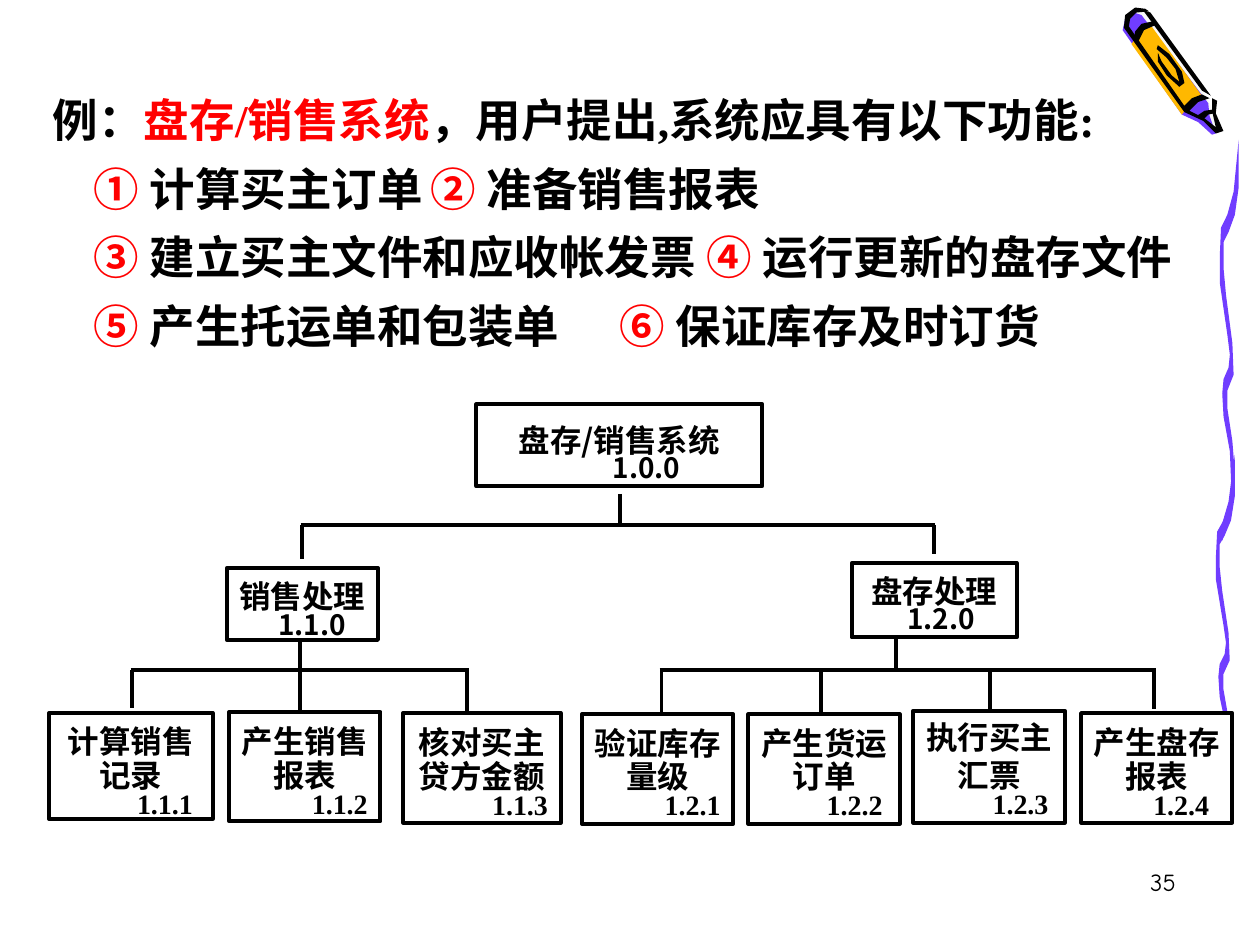
from lxml import etree
from pptx import Presentation
from pptx.dml.color import RGBColor
from pptx.enum.shapes import MSO_CONNECTOR, MSO_SHAPE
from pptx.enum.text import MSO_ANCHOR, MSO_AUTO_SIZE, PP_ALIGN
from pptx.oxml.ns import qn
from pptx.util import Pt

STRAIGHT = MSO_CONNECTOR.STRAIGHT
RECTANGLE = MSO_SHAPE.RECTANGLE
TOP = MSO_ANCHOR.TOP
NO_FIT = MSO_AUTO_SIZE.NONE
LEFT, CENTER, RIGHT = PP_ALIGN.LEFT, PP_ALIGN.CENTER, PP_ALIGN.RIGHT

COLORS = {"ink": "000000", "red": "FF0000", "paper": "FFFFFF",
          "purple": "703DFF", "yellow": "FFB800", "pale": "F8F8F8"}
SERIF, SANS, COMIC = "Times New Roman", "Noto Sans CJK SC", "Comic Neue"

WAVE_GRID = (15, 278)
WAVE = [(1, 269), (7, 251), (9, 237), (8, 216), (3, 192), (2, 176), (3, 166),
        (7, 158), (8, 149), (6, 135), (0, 99), (0, 81), (1, 61), (6, 52),
        (11, 36), (15, 0), (15, 33), (12, 52), (7, 64), (3, 71), (3, 89),
        (5, 108), (10, 141), (11, 163), (6, 174), (6, 186), (10, 209),
        (12, 231), (10, 255), (6, 267), (2, 278)]

CRAYON_GRID = (81, 101)
CRAYON = [
    ("pale", [(78, 96), (73, 82), (62, 60), (19, 3), (12, 1), (6, 6), (4, 16),
              (51, 82), (66, 89), (76, 98)]),
    ("purple", [(16, 6), (69, 76), (70, 86), (75, 100), (72, 101), (61, 91),
                (48, 85), (1, 18), (3, 9), (10, 4)]),
    ("yellow", [(8, 29), (48, 85), (56, 75), (66, 73), (24, 15), (15, 19)]),
    ("ink", [(73, 81), (66, 82), (60, 86), (66, 88), (69, 85), (74, 84)]),
    ("ink", [(19, 1), (11, 0), (3, 6), (2, 16), (50, 83), (65, 90), (75, 100),
             (81, 98), (75, 84), (76, 74), (72, 72), (72, 82), (75, 95),
             (66, 88), (54, 82), (61, 75), (70, 72), (64, 69), (56, 72),
             (50, 78), (6, 15), (7, 9), (12, 4), (22, 3)]),
    ("ink", [(23, 4), (71, 70), (64, 66), (17, 2)]),
    ("ink", [(25, 11), (16, 13), (11, 19), (10, 24), (13, 28), (18, 18),
             (27, 14)]),
    ("ink", [(28, 33), (36, 40), (43, 49), (46, 59), (40, 54), (32, 43),
             (29, 36), (29, 43), (36, 54), (46, 63), (50, 60), (48, 51),
             (38, 37), (29, 30)]),
]

HEADING = [("例：", "ink"), ("盘存/销售系统", "red"),
           ("，用户提出,系统应具有以下功能:", "ink")]
# Each row: its spans and the tab stop of its second item, if it has one
FEATURES = [
    ([("① ", "red"), ("计算买主订单\t", "ink"),
      ("②", "red"), (" 准备销售报表", "ink")], 359),
    ([("③", "red"), (" 建立买主文件和应收帐发票 ", "ink"),
      ("④", "red"), (" 运行更新的盘存文件", "ink")], None),
    ([("⑤", "red"), (" 产生托运单和包装单\t", "ink"),
      ("⑥ ", "red"), ("保证库存及时订货", "ink")], 366.5),
]

# Box in the chart, text lines, indent of the number, top inset, font, pitch
MODULES = [
    ((244.2, 0, 163.4, 46.8), ["盘存/销售系统", "1.0.0"], 31, 11.5, SANS, 19.4),
    ((101.6, 93.7, 86.4, 41), ["销售处理", "1.1.0"], 11, 7, SANS, 19.4),
    ((458.7, 90.8, 94.3, 42.5), ["盘存处理", "1.2.0"], 7.5, 7, SANS, 19.4),
    ((0, 176.5, 93.6, 60.5), ["计算销售", "记录", "1.1.1"], 39, 7.5, SERIF, 19.4),
    ((103, 175.8, 86.4, 62.6), ["产生销售", "报表", "1.1.2"], 40, 8, SERIF, 19.4),
    ((202.4, 176.5, 90, 62.6), ["核对买主", "贷方金额", "1.1.3"], 43.5, 8, SERIF, 19.4),
    ((304.6, 177.2, 86.4, 62.6), ["验证库存", "量级", "1.2.1"], 40, 7.5, SERIF, 19.4),
    ((399.7, 177.2, 86.4, 62.6), ["产生货运", "订单", "1.2.2"], 35, 7.5, SERIF, 19.4),
    ((494, 175.1, 86.4, 64.1), ["执行买主", "汇票", "1.2.3"], 36, 4, SERIF, 21.7),
    ((589.8, 176.5, 86.4, 62.6), ["产生盘存", "报表", "1.2.4"], 28, 8, SERIF, 19.4),
]
# Stem x, stem top, bar y, drops as (x, bottom)
BRANCHES = [
    (326.2, 51.2, 69.2, [(144.8, 88.7), (505.5, 85.8)]),
    (143.4, 133.3, 151.7, [(47.6, 173.6), (143.4, 183), (239.1, 175.1)]),
    (483.9, 132.6, 152, [(350, 179.4), (441.4, 178.7), (537.9, 174.4),
                         (631.5, 174.4)]),
]


def color(name):
    return RGBColor.from_string(COLORS[name])


def style(span, size, font, ink="ink", bold=True):
    span.font.size = Pt(size)
    span.font.name = font
    span.font.bold = bold
    span.font.color.rgb = color(ink)
    east_asian = etree.SubElement(span.font._element, qn("a:ea"))
    east_asian.set("typeface", SANS)


def set_frame(frame, insets):
    """Fix the frame's size; insets are left, top, right, bottom."""
    frame.word_wrap = True
    frame.auto_size = NO_FIT
    frame.vertical_anchor = TOP
    (frame.margin_left, frame.margin_top,
     frame.margin_right, frame.margin_bottom) = map(Pt, insets)


def add_outline(page, box, grid, points, ink):
    """Fill a closed outline whose grid is stretched over the box."""
    left, top, width, height = box
    corners = [(Pt(left + x * width / grid[0]), Pt(top + y * height / grid[1]))
               for x, y in points]
    builder = page.shapes.build_freeform(*corners[0], scale=1.0)
    builder.add_line_segments(corners[1:], close=True)
    shape = builder.convert_to_shape()
    shape.shadow.inherit = False
    shape.fill.solid()
    shape.fill.fore_color.rgb = color(ink)
    shape.line.fill.background()


def add_crayon(page, box):
    for ink, points in CRAYON:
        add_outline(page, box, CRAYON_GRID, points, ink)


def add_page_number(page, box, number):
    frame = page.shapes.add_textbox(*map(Pt, box)).text_frame
    set_frame(frame, (7.2, 3.6, 7.2, 3.6))
    para = frame.paragraphs[0]
    para.text = number
    para.alignment = RIGHT
    style(para.runs[0], 14, COMIC, bold=False)


def add_line(page, start, end):
    line = page.shapes.add_connector(STRAIGHT, *map(Pt, start + end))
    line.line.color.rgb = color("ink")
    line.line.width = Pt(2.25)
    etree.SubElement(line._element.spPr, qn("a:effectLst"))


def add_branch(page, origin, stem_x, stem_top, bar_y, drops):
    left, top = origin
    bar = top + bar_y
    add_line(page, (left + stem_x, top + stem_top), (left + stem_x, bar))
    add_line(page, (left + drops[0][0] - 1, bar), (left + drops[-1][0] + 1, bar))
    for x, bottom in drops:
        add_line(page, (left + x, bar), (left + x, top + bottom))


def add_module(page, box, lines, indent, inset, font, pitch):
    shape = page.shapes.add_shape(RECTANGLE, *map(Pt, box))
    shape.shadow.inherit = False
    shape.fill.solid()
    shape.fill.fore_color.rgb = color("paper")
    shape.line.color.rgb = color("ink")
    shape.line.width = Pt(2.25)
    frame = shape.text_frame
    set_frame(frame, (3.6, inset, 3.6, 0))
    frame.text = "\n".join(lines)
    for para in frame.paragraphs:
        para.alignment = CENTER
        para.line_spacing = Pt(pitch)
        style(para.runs[0], 18, font)
    number = frame.paragraphs[-1]
    number.line_spacing = Pt(15)
    number.runs[0].font.size = Pt(16)
    number._p.get_or_add_pPr().set("marL", str(Pt(indent)))


def add_module_chart(page, origin):
    for branch in BRANCHES:
        add_branch(page, origin, *branch)
    for (left, top, width, height), *details in MODULES:
        box = (origin[0] + left, origin[1] + top, width, height)
        add_module(page, box, *details)


def fill_features(body, box):
    body.left, body.top, body.width, body.height = map(Pt, box)
    frame = body.text_frame
    set_frame(frame, (7.2, 8.2, 0, 3.6))
    for index, (spans, stop) in enumerate([(HEADING, None)] + FEATURES):
        para = frame.paragraphs[0] if index == 0 else frame.add_paragraph()
        properties = para._p.get_or_add_pPr()
        properties.set("marL", "0")
        properties.set("indent", str(Pt(23.3 if index else 0)))
        etree.SubElement(properties, qn("a:buNone"))
        if stop:
            tabs = etree.SubElement(properties, qn("a:tabLst"))
            etree.SubElement(tabs, qn("a:tab"), pos=str(Pt(stop)), algn="l")
        para.alignment = LEFT
        para.line_spacing = Pt(39.1)
        para.space_before = Pt(0)
        for text, ink in spans:
            span = para.add_run()
            span.text = text
            style(span, 26, SERIF, ink)


def main():
    deck = Presentation()
    deck.slide_width, deck.slide_height = Pt(720), Pt(540)
    page = deck.slides.add_slide(deck.slide_layouts[1])
    title = page.shapes.title
    title._element.getparent().remove(title._element)
    for box in [(694.8, 259.9, 10.8, 200.2), (697, 79.9, 10.8, 229)]:
        add_outline(page, box, WAVE_GRID, WAVE, "purple")
    add_crayon(page, (640.8, 4.3, 58.3, 72.7))
    fill_features(page.placeholders[1], (23, 36.7, 697, 268.6))
    add_module_chart(page, (28, 231))
    add_page_number(page, (529.2, 491.8, 149.8, 36), "35")
    deck.save("out.pptx")


if __name__ == "__main__":
    main()
